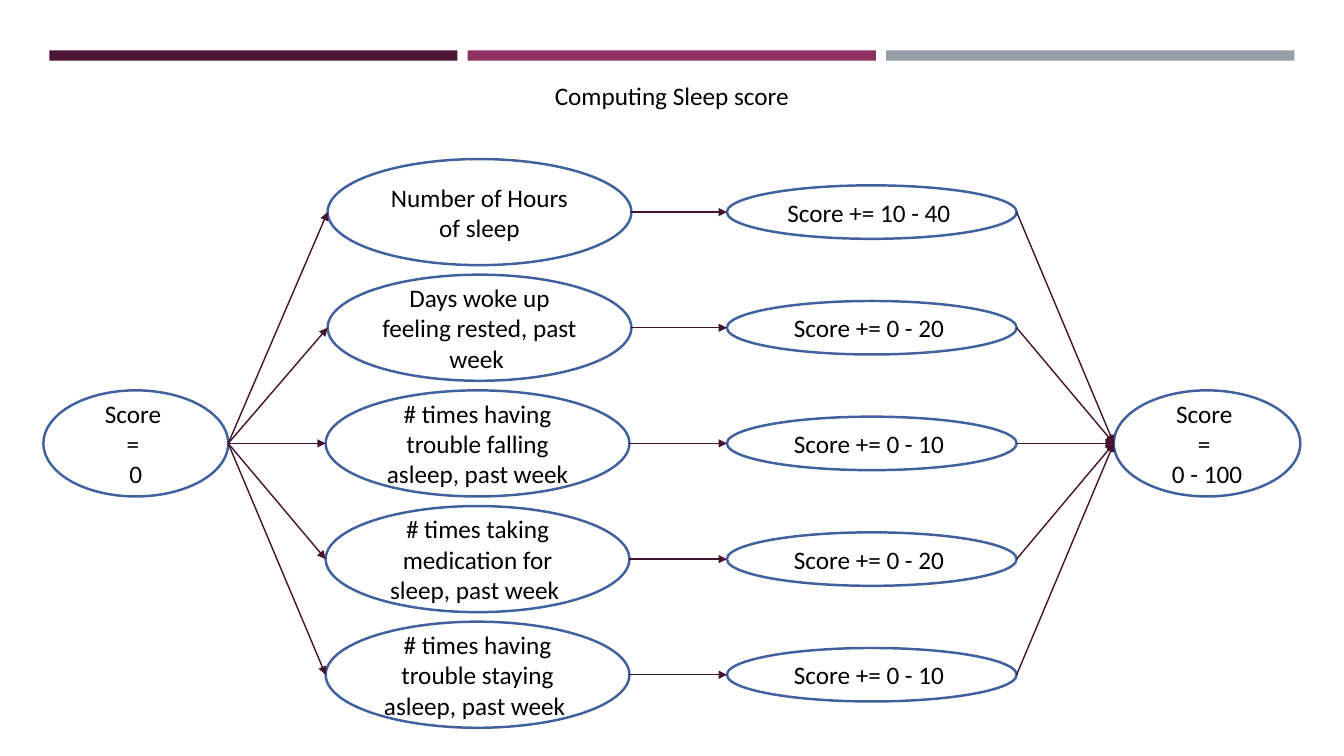
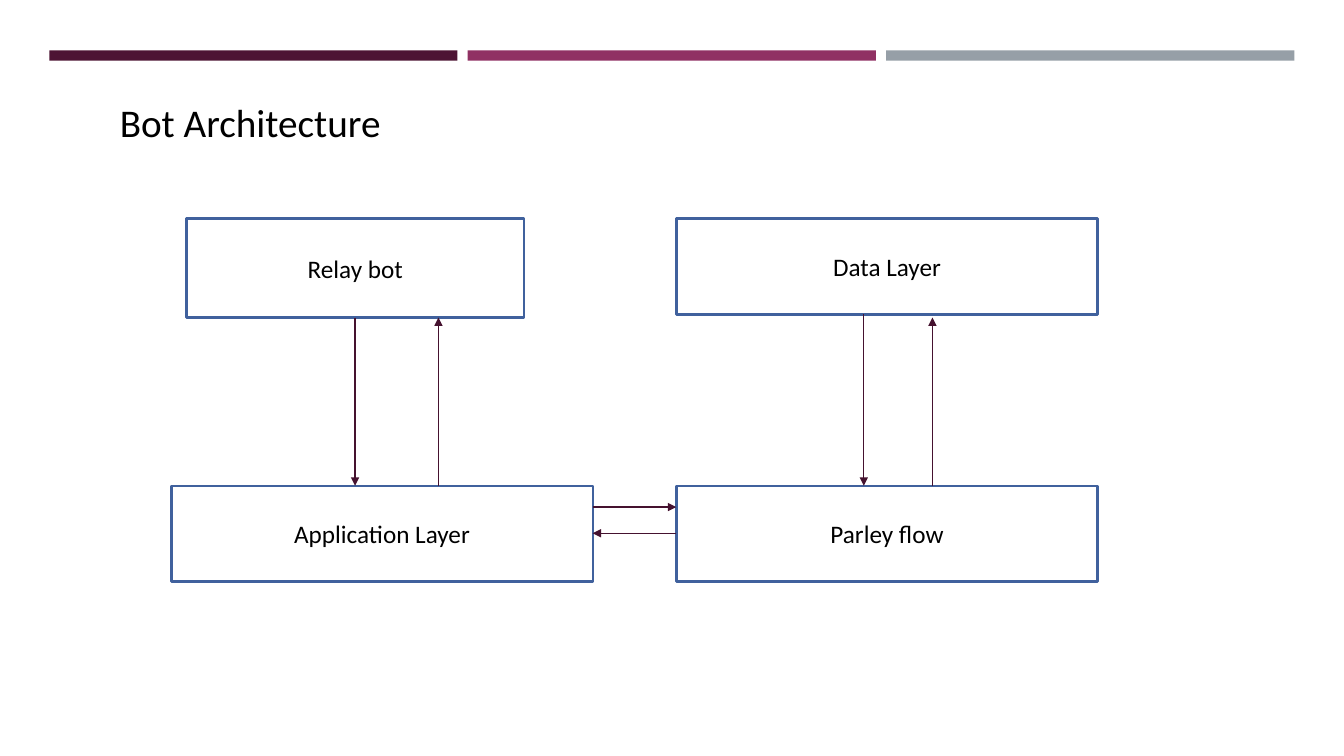
from dataclasses import dataclass

from lxml.etree import SubElement
from pptx import Presentation
from pptx.dml.color import RGBColor
from pptx.enum.shapes import MSO_CONNECTOR, MSO_SHAPE
from pptx.enum.text import MSO_ANCHOR, PP_ALIGN
from pptx.oxml.ns import qn
from pptx.util import Pt


@dataclass(frozen=True)
class Theme:
    font: str = "Calibri"
    text: RGBColor = RGBColor.from_string("000000")
    node_fill: RGBColor = RGBColor.from_string("FFFFFF")
    node_line: RGBColor = RGBColor.from_string("40619D")
    arrow: RGBColor = RGBColor.from_string("45122F")
    bands: tuple = ("4D1434", "903163", "969FA7")
    body_size: float = 18
    title_size: float = 28
    node_width: float = 1.75
    arrow_width: float = 1


THEME = Theme()

SCORE_TITLE = "Computing Sleep score"
START = ["Score ", "= ", "0"]
RESULT = ["Score ", "= ", "0 - 100"]
FACTORS = [
    ("Number of Hours of sleep", "Score += 10 - 40 ", 234),
    ("Days woke up feeling rested, past week ", "Score += 0 - 20 ", 234),
    ("# times having trouble falling asleep, past week", "Score += 0 - 10 ", 232.6),
    ("# times taking medication for sleep, past week ", "Score += 0 - 20 ", 232.6),
    ("# times having trouble staying asleep, past week ", "Score += 0 - 10 ", 232.6),
]

ARCHITECTURE_TITLE = "Bot Architecture"
LAYERS = [
    ("Relay bot", (133.2, 156.2, 241.2, 70.6)),
    ("Data Layer", (483.1, 156.2, 301, 68.4)),
    ("Application Layer", (122.4, 347, 301, 68.4)),
    ("Parley flow", (483.1, 347, 301, 68.4)),
]
LAYER_FLOWS = [
    ((253.6, 226.8), (253.6, 347)),
    ((313.2, 347), (313.2, 226.8)),
    ((423.4, 362.2), (483.1, 362.2)),
    ((483.1, 380.9), (423.4, 380.9)),
    ((617, 224.6), (617, 347)),
    ((666, 347), (666, 226.8)),
]


def apply(target, formats):
    for attribute, value in formats.items():
        setattr(target, attribute, value)


def write(frame, lines, size, align):
    for index, line in enumerate(lines):
        paragraph = frame.paragraphs[0] if index == 0 else frame.add_paragraph()
        paragraph.alignment = align
        run = paragraph.add_run()
        run.text = line
        apply(run.font, {"name": THEME.font, "size": Pt(size)})
        run.font.color.rgb = THEME.text


def add_filled(slide, kind, box, colour):
    shape = slide.shapes.add_shape(kind, *map(Pt, box))
    shape.shadow.inherit = False
    shape.fill.solid()
    shape.fill.fore_color.rgb = colour
    return shape


def add_node(slide, kind, box, lines):
    node = add_filled(slide, kind, box, THEME.node_fill)
    node.line.color.rgb = THEME.node_line
    node.line.width = Pt(THEME.node_width)
    apply(node.text_frame, {"word_wrap": True, "vertical_anchor": MSO_ANCHOR.MIDDLE})
    write(node.text_frame, lines, THEME.body_size, PP_ALIGN.CENTER)


def add_arrow(slide, start, end):
    arrow = slide.shapes.add_connector(MSO_CONNECTOR.STRAIGHT, *map(Pt, (*start, *end)))
    arrow.line.color.rgb = THEME.arrow
    arrow.line.width = Pt(THEME.arrow_width)
    SubElement(arrow.line._get_or_add_ln(), qn("a:tailEnd"), type="triangle")
    SubElement(arrow._element.spPr, qn("a:effectLst"))


def add_title(slide, title, box, size, align, wrap):
    frame = slide.shapes.add_textbox(*map(Pt, box)).text_frame
    frame.word_wrap = wrap
    write(frame, [title], size, align)


def new_slide(deck):
    slide = deck.slides.add_slide(deck.slide_layouts[6])
    for index, colour in enumerate(THEME.bands):
        box = (35.2 + index * 298.9, 36, 291.6, 7.4)
        band = add_filled(slide, MSO_SHAPE.RECTANGLE, box, RGBColor.from_string(colour))
        band.line.fill.background()
    return slide


def build_score(deck):
    slide = new_slide(deck)
    add_title(slide, SCORE_TITLE, (387.4, 54, 185, 28.8),
              THEME.body_size, PP_ALIGN.CENTER, True)
    first_middle, row_step = 151.5, 82.62
    factor_width, node_height = 217, 75.8
    points_left, points_width, points_height = 519.2, 207, 38.2
    start_left, start_width = 31, 132
    result_left, result_width = 795.6, 133.2
    centre = first_middle + row_step * (len(FACTORS) - 1) / 2
    start_exit = (start_left + start_width, centre)
    result_entry = (result_left, centre)

    for left, width, lines in ((start_left, start_width, START),
                               (result_left, result_width, RESULT)):
        add_node(slide, MSO_SHAPE.OVAL,
                 (left, centre - node_height / 2, width, node_height), lines)

    for row, (factor, points, factor_left) in enumerate(FACTORS):
        middle = first_middle + row * row_step
        add_node(slide, MSO_SHAPE.OVAL,
                 (factor_left, middle - node_height / 2, factor_width, node_height),
                 [factor])
        add_node(slide, MSO_SHAPE.OVAL,
                 (points_left, middle - points_height / 2, points_width, points_height),
                 [points])
        add_arrow(slide, start_exit, (factor_left, middle))
        add_arrow(slide, (factor_left + factor_width, middle), (points_left, middle))
        add_arrow(slide, (points_left + points_width, middle), result_entry)


def build_architecture(deck):
    slide = new_slide(deck)
    for layer, box in LAYERS:
        add_node(slide, MSO_SHAPE.RECTANGLE, box, [layer])
    for start, end in LAYER_FLOWS:
        add_arrow(slide, start, end)
    add_title(slide, ARCHITECTURE_TITLE, (78.5, 67, 206, 41),
              THEME.title_size, PP_ALIGN.LEFT, False)


def main():
    deck = Presentation()
    apply(deck, {"slide_width": Pt(960), "slide_height": Pt(540)})
    build_score(deck)
    build_architecture(deck)
    deck.save("out.pptx")


if __name__ == "__main__":
    main()
